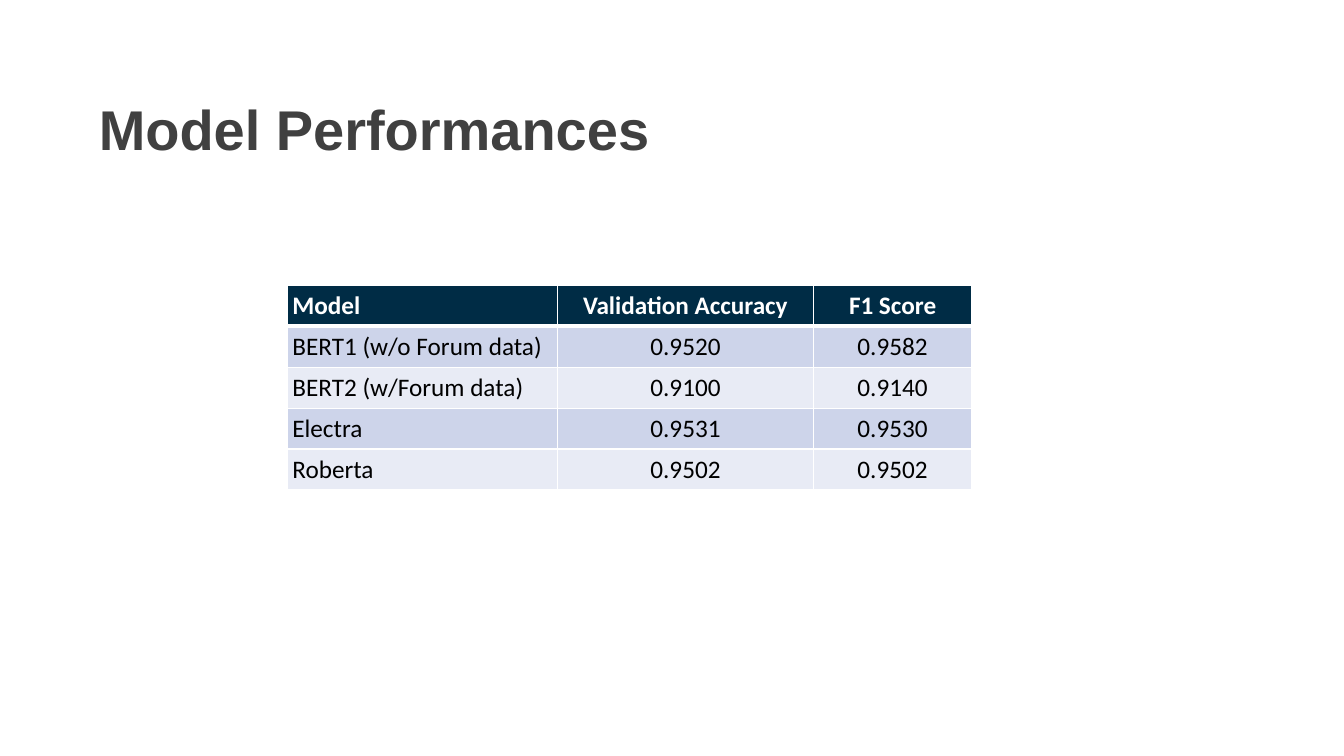
import pptx
import pptx.dml.color
import pptx.enum.text
import pptx.oxml
import pptx.oxml.ns
import pptx.util

COLOURS = {
    "title": "404040",
    "header": "002C45",
    "odd": "CDD4EA",
    "even": "E8EBF5",
    "white": "FFFFFF",
    "black": "000000",
}
ALIGN = pptx.enum.text.PP_ALIGN
MIDDLE = pptx.enum.text.MSO_ANCHOR.MIDDLE
SIDES = ("left", "right", "top", "bottom")

SCORES = [
    ("Model", "Validation Accuracy", "F1 Score"),
    ("BERT1 (w/o Forum data)", "0.9520", "0.9582"),
    ("BERT2 (w/Forum data)", "0.9100", "0.9140"),
    ("Electra", "0.9531", "0.9530"),
    ("Roberta", "0.9502", "0.9502"),
]


class SlideBuilder:
    """Holds the style and the current slide; places are shares of its size."""

    def __init__(self, width, height):
        self.deck = pptx.Presentation()
        self.deck.slide_width = pptx.util.Inches(width)
        self.deck.slide_height = pptx.util.Inches(height)
        self.page = self.deck.slides.add_slide(self.deck.slide_layouts[6])
        self.inset = pptx.util.Inches(0.05)

    def across(self, share):
        return round(self.deck.slide_width * share / 100)

    def down(self, share):
        return round(self.deck.slide_height * share / 100)

    def place(self, left, top, width, height):
        return self.across(left), self.down(top), self.across(width), self.down(height)

    def add_text(self, holder, text, colour, align=ALIGN.LEFT, **font):
        """Fill a text frame's first paragraph with one formatted run."""
        para = holder.paragraphs[0]
        para.alignment = align
        span = para.add_run()
        span.text = text
        for name, value in font.items():
            setattr(span.font, name, value)
        span.font.color.rgb = pptx.dml.color.RGBColor.from_string(COLOURS[colour])
        return para

    def title(self, text, place):
        box = self.page.shapes.add_textbox(*self.place(*place))
        frame = box.text_frame
        settings = {f"margin_{side}": self.inset for side in SIDES}
        settings.update(word_wrap=True, vertical_anchor=MIDDLE)
        for name, value in settings.items():
            setattr(frame, name, value)
        para = self.add_text(frame, text, "title", name="Arial",
                             size=pptx.util.Pt(40), bold=True)
        para.line_spacing = 0.9

    def border(self, cell, side, points):
        line = pptx.oxml.parse_xml(
            f'<a:ln{side} {pptx.oxml.ns.nsdecls("a")} w="{pptx.util.Pt(points)}">'
            f'<a:solidFill><a:srgbClr val="{COLOURS["white"]}"/></a:solidFill>'
            f'</a:ln{side}>')
        cell._tc.get_or_add_tcPr().append(line)

    def cell(self, cell, text, row, column):
        header = row == 0
        for side in SIDES:
            setattr(cell, f"margin_{side}", self.inset)
        # A thick rule parts the header from the body
        widths = {"L": 1, "R": 1, "T": 3 if row == 1 else 1, "B": 3 if header else 1}
        for side, points in widths.items():
            self.border(cell, side, points)
        band = "header" if header else "odd" if row % 2 else "even"
        cell.fill.solid()
        cell.fill.fore_color.rgb = pptx.dml.color.RGBColor.from_string(COLOURS[band])
        self.add_text(cell.text_frame, text, "white" if header else "black",
                      ALIGN.CENTER if column else ALIGN.LEFT,
                      name="Calibri", size=pptx.util.Pt(18), bold=header)

    def table(self, rows, place, column_widths):
        frame = self.page.shapes.add_table(
            len(rows), len(column_widths), *self.place(*place))
        table = frame.table
        for column, width in zip(table.columns, column_widths):
            column.width = self.across(width)
        for row, texts in enumerate(rows):
            for column, text in enumerate(texts):
                self.cell(table.cell(row, column), text, row, column)


def main():
    builder = SlideBuilder(13.33, 7.5)

    # Heading
    builder.title("Model Performances", (6.98, 10.4, 85.97, 14.27))

    # Scores of each model
    widths = (20.1, 19.05, 11.78)
    builder.table(SCORES, (21.38, 37.73, sum(widths), 27.1), widths)

    builder.deck.save("out.pptx")


if __name__ == "__main__":
    main()
